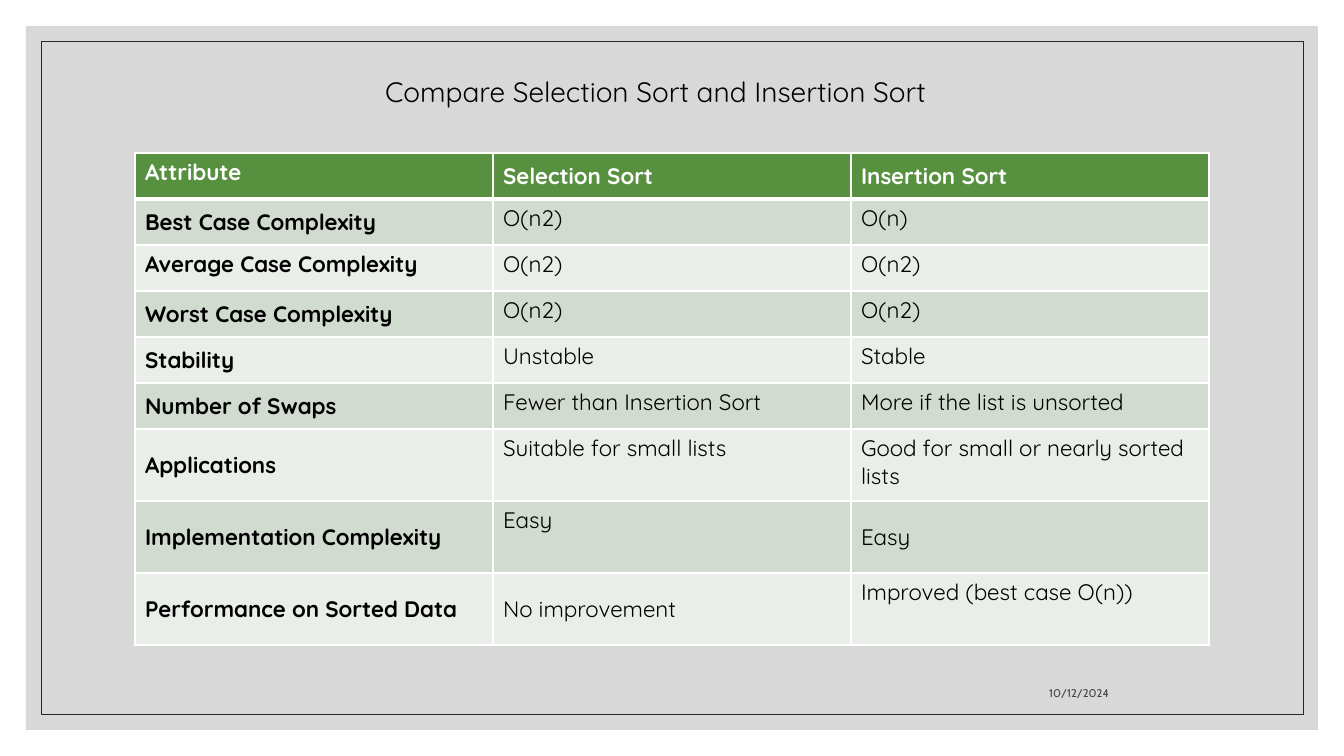
"""Build a slide comparing selection sort and insertion sort."""
from lxml import etree
from pptx import Presentation, util as u
from pptx.dml.color import RGBColor
from pptx.enum import shapes, text
from pptx.oxml.ns import qn

TITLE = "Compare Selection Sort and Insertion Sort"
DATE = "10/12/2024"
ROWS = [
    ("Attribute", "Selection Sort", "Insertion Sort"),
    ("Best Case Complexity", "O(n2)", "O(n)"),
    ("Average Case Complexity", "O(n2)", "O(n2)"),
    ("Worst Case Complexity", "O(n2)", "O(n2)"),
    ("Stability", "Unstable", "Stable"),
    ("Number of Swaps", "Fewer than Insertion Sort", "More if the list is unsorted"),
    ("Applications", "Suitable for small lists", "Good for small or nearly sorted lists"),
    ("Implementation Complexity", "Easy", "Easy"),
    ("Performance on Sorted Data", "No improvement", "Improved (best case O(n))"),
]
TOP_LABELS = (0, 2)
MIDDLE_VALUES = {(0, 1), (0, 2), (7, 2), (8, 1)}
HEIGHTS = [46] * 6 + [72] * 3
COL_W = 358

BLACK = RGBColor(0x00, 0x00, 0x00)
WHITE = RGBColor(0xFF, 0xFF, 0xFF)
PANEL = RGBColor(0xBF, 0xBF, 0xBF)
FRAME = RGBColor(0x26, 0x26, 0x26)
DATE_GREY = RGBColor(0x40, 0x40, 0x40)
HEADER = RGBColor(0x57, 0x90, 0x3F)
BANDS = (RGBColor(0xEA, 0xEE, 0xE8), RGBColor(0xD1, 0xDB, 0xCF))


def px(n):
    return u.Emu(round(n * 914400 / 100.8))


def write(tf, words, color, align=text.PP_ALIGN.LEFT, **fmt):
    p = tf.paragraphs[0]
    p.alignment = align
    r = p.add_run()
    r.text = words
    for key, value in fmt.items():
        setattr(r.font, key, value)
    r.font.color.rgb = color


def add_rect(slide, *box):
    sp = slide.shapes.add_shape(shapes.MSO_SHAPE.RECTANGLE, *map(px, box))
    sp.shadow.inherit = False
    return sp


def set_borders(cell, bottom):
    tc_pr = cell._tc.get_or_add_tcPr()
    for i, side in enumerate(("lnL", "lnR", "lnT", "lnB")):
        width = bottom if side == "lnB" else 1
        ln = etree.Element(qn("a:" + side), w=str(u.Pt(width)))
        fill = etree.SubElement(ln, qn("a:solidFill"))
        etree.SubElement(fill, qn("a:srgbClr"), val=str(WHITE))
        tc_pr.insert(i, ln)


def add_comparison(slide):
    box = (135, 153, COL_W * 3, sum(HEIGHTS))
    table = slide.shapes.add_table(len(ROWS), 3, *map(px, box)).table
    for col in table.columns:
        col.width = px(COL_W)
    for i, row in enumerate(ROWS):
        table.rows[i].height = px(HEIGHTS[i])
        for j, words in enumerate(row):
            cell = table.cell(i, j)
            middle = (i, j) in MIDDLE_VALUES or (j == 0 and i not in TOP_LABELS)
            cell.vertical_anchor = text.MSO_ANCHOR.MIDDLE if middle else text.MSO_ANCHOR.TOP
            cell.fill.solid()
            cell.fill.fore_color.rgb = BANDS[i % 2] if i else HEADER
            set_borders(cell, 1 if i else 3)
            write(cell.text_frame, words, BLACK if i else WHITE,
                  name="Quicksand", size=u.Pt(16), bold=i == 0 or j == 0)


def main():
    prs = Presentation()
    prs.slide_width, prs.slide_height = px(1344), px(756)
    slide = prs.slides.add_slide(prs.slide_layouts[5])

    panel = add_rect(slide, 26, 26, 1292, 704)
    panel.fill.solid()
    panel.fill.fore_color.rgb = PANEL
    panel.line.fill.background()
    color = panel._element.spPr.find(".//" + qn("a:srgbClr"))
    etree.SubElement(color, qn("a:alpha"), val="60000")

    frame = add_rect(slide, 41, 41, 1262, 673)
    frame.fill.background()
    frame.line.color.rgb = FRAME
    frame.line.width = u.Pt(0.5)

    date = slide.shapes.add_textbox(*map(px, (800, 665, 319, 40)))
    date.text_frame.word_wrap = True
    date.text_frame.vertical_anchor = text.MSO_ANCHOR.BOTTOM
    write(date.text_frame, DATE, DATE_GREY, text.PP_ALIGN.RIGHT, name="Cabin", size=u.Pt(8))

    title = slide.shapes.title
    title.left, title.top, title.width, title.height = map(px, (375, 69, 672, 44))
    tf = title.text_frame
    tf.vertical_anchor = text.MSO_ANCHOR.TOP
    tf.auto_size = text.MSO_AUTO_SIZE.SHAPE_TO_FIT_TEXT
    write(tf, TITLE, BLACK, name="Quicksand", size=u.Pt(20))
    title._element.getparent().append(title._element)

    add_comparison(slide)
    prs.save("out.pptx")


if __name__ == "__main__":
    main()
